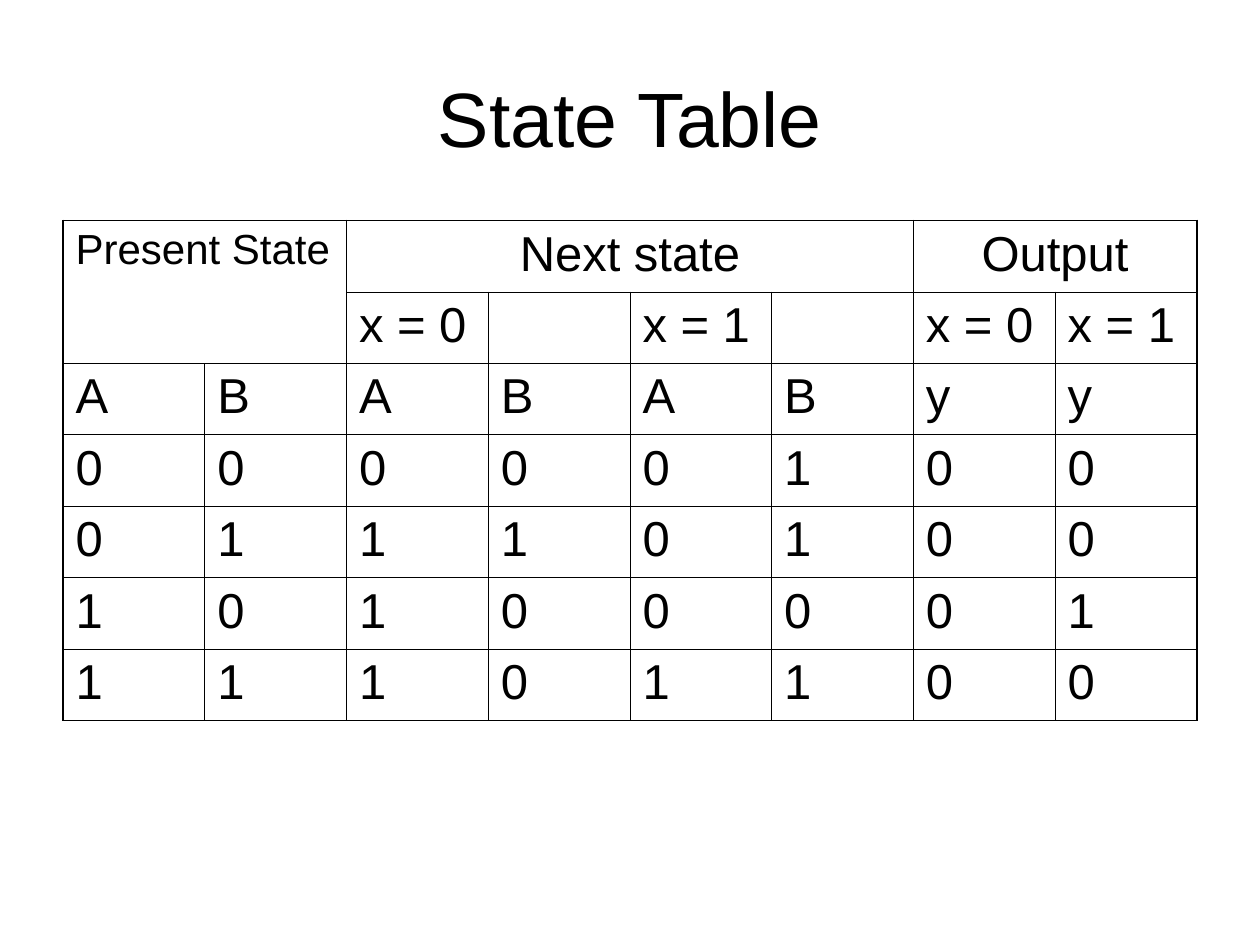
from dataclasses import dataclass

from lxml import etree
from pptx import Presentation, util as u
from pptx.dml.color import RGBColor
from pptx.enum import text
from pptx.oxml import ns


@dataclass(frozen=True)
class Theme:
    font: str = "Arial"
    ink: str = "000000"
    title_size: float = 44
    body_size: float = 28
    corner_size: float = 24
    inner_line: float = 0.45
    outer_line: float = 1.08


THEME = Theme()

# Merged headings: row, column, row span, column span
HEADINGS = {
    (0, 0, 2, 2): ("Present State", THEME.corner_size, text.PP_ALIGN.LEFT),
    (0, 2, 1, 4): ("Next state", THEME.body_size, text.PP_ALIGN.CENTER),
    (0, 6, 1, 2): ("Output", THEME.body_size, text.PP_ALIGN.CENTER),
}

# Rows below the merged headings
ROWS = [
    ["", "", "x = 0", "", "x = 1", "", "x = 0", "x = 1"],
    list("ABABAByy"),
    list("00000100"),
    list("01110100"),
    list("10100001"),
    list("11101100"),
]


def write(frame, words, size, align):
    para = frame.paragraphs[0]
    para.alignment = align
    span = para.add_run()
    span.text = words
    span.font.name = THEME.font
    span.font.size = u.Pt(size)
    span.font.color.rgb = RGBColor.from_string(THEME.ink)


def add_border(cell, side, width):
    line = etree.SubElement(cell._tc.get_or_add_tcPr(), ns.qn("a:ln" + side),
                            w=str(u.Pt(width)))
    fill = etree.SubElement(line, ns.qn("a:solidFill"))
    etree.SubElement(fill, ns.qn("a:srgbClr"), val=THEME.ink)


def fill_title(page, left, top, width, height):
    title = page.shapes.title
    title.left, title.top, title.width, title.height = left, top, width, height
    title.text_frame.vertical_anchor = text.MSO_ANCHOR.MIDDLE
    write(title.text_frame, "State Table", THEME.title_size,
          text.PP_ALIGN.CENTER)


def region_of(row, column):
    """Return the merged block holding a cell, or the cell alone."""
    for top, left, height, width in HEADINGS:
        if top <= row < top + height and left <= column < left + width:
            return top, left, height, width
    return row, column, 1, 1


def style_cell(cell, row, column, row_count, column_count):
    top, left, height, width = region_of(row, column)
    bottom, right = top + height, left + width
    origin = (row, column) == (top, left)
    # Side: lies on the block's edge, lies on the table's edge
    edges = {
        "L": (column == left, left == 0),
        "R": (column == right - 1, right == column_count),
        "T": (row == top, top == 0),
        "B": (row == bottom - 1, bottom == row_count),
    }
    for side, (on_block_edge, on_table_edge) in edges.items():
        if origin or on_block_edge:
            add_border(cell, side, THEME.outer_line if on_table_edge
                       else THEME.inner_line)
    cell.fill.background()


def add_state_table(page, left, top, width, height):
    row_count, column_count = len(ROWS) + 1, len(ROWS[0])
    table = page.shapes.add_table(row_count, column_count,
                                  left, top, width, height).table
    table.first_row = table.horz_banding = False

    # Merged headings
    for (row, column, tall, wide), (words, size, align) in HEADINGS.items():
        cell = table.cell(row, column)
        cell.merge(table.cell(row + tall - 1, column + wide - 1))
        write(cell.text_frame, words, size, align)

    # Column labels and states
    for row, values in enumerate(ROWS, start=1):
        for column, words in enumerate(values):
            if words:
                write(table.cell(row, column).text_frame, words,
                      THEME.body_size, text.PP_ALIGN.LEFT)

    # Borders and fills
    for row in range(row_count):
        for column in range(column_count):
            style_cell(table.cell(row, column), row, column,
                       row_count, column_count)


def main():
    deck = Presentation()
    deck.slide_width, deck.slide_height = u.Inches(10), u.Inches(7.5)
    page = deck.slides.add_slide(deck.slide_layouts.get_by_name("Title Only"))
    margin, width = u.Inches(0.5), u.Inches(9)
    fill_title(page, margin, u.Inches(0.3), width, u.Inches(1.25))
    add_state_table(page, margin, u.Inches(1.75), width, u.Inches(3.97))
    deck.save("out.pptx")


if __name__ == "__main__":
    main()
